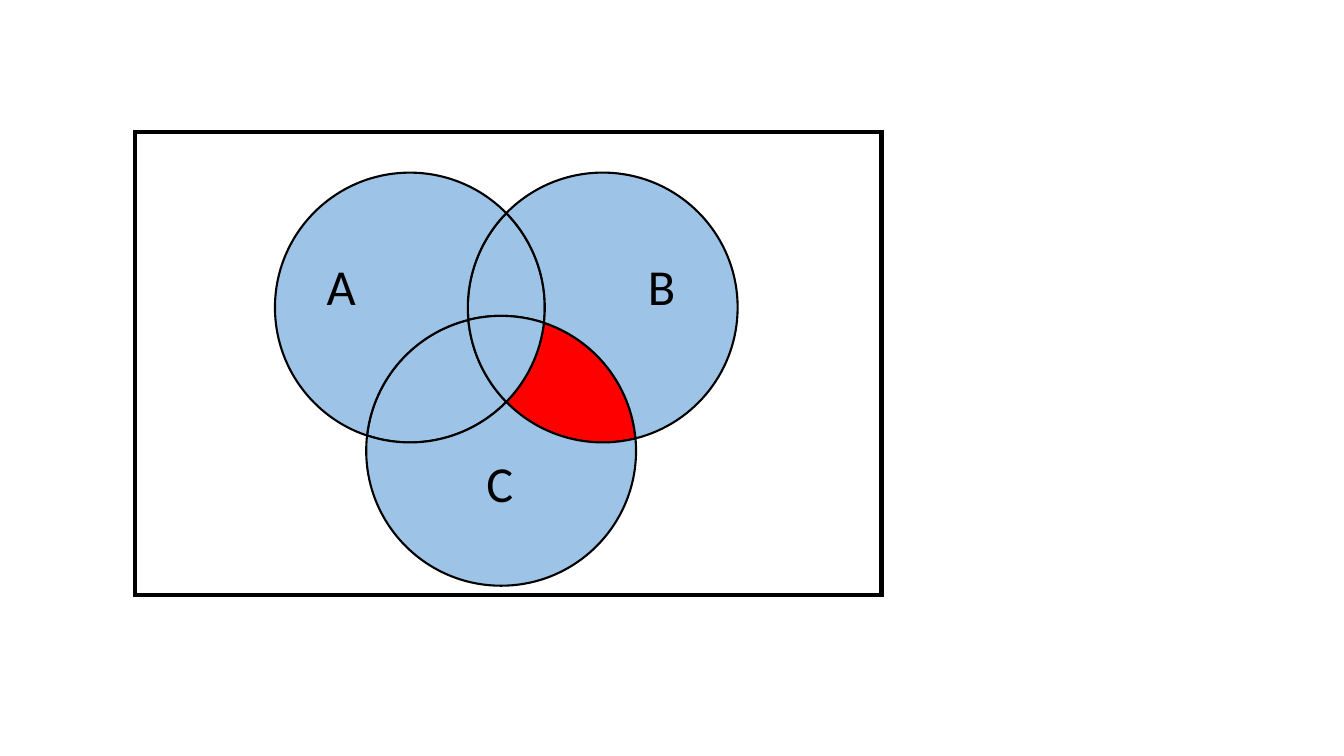
import math
import lxml.etree
import pptx
import pptx.util
import pptx.dml.color
import pptx.enum.shapes
import pptx.enum.text
import pptx.oxml.ns
from pptx.util import Cm, Pt

RADIUS = 3.4
CIRCLES = {"A": (10.33, 7.75), "B": (15.19, 7.75), "C": (12.63, 11.36)}
REGIONS = ["AB", "AC", "BC", "A", "B", "ABC", "C"]
HIGHLIGHTED = "BC"
UNIVERSE = (3.4, 3.33, 18.82, 11.66)
LABELS = [("A", 7.98, 6.3, 1.24), ("B", 16.08, 6.3, 1.22), ("C", 12.01, 11.28, 1.19)]
LABEL_HEIGHT = 1.8

THEME = {
    "font": "Calibri", "size": 36, "ink": "000000",
    "set": "9DC3E6", "highlight": "FF0000",
    "outline": 1.5, "frame": 3.25,
}
qn = pptx.oxml.ns.qn


def color(key):
    return pptx.dml.color.RGBColor.from_string(THEME[key])


def point(name, angle):
    x, y = CIRCLES[name]
    return x + RADIUS * math.cos(angle), y + RADIUS * math.sin(angle)


def crossings(name):
    angles = []
    for other, (x, y) in CIRCLES.items():
        if other != name:
            dx, dy = x - CIRCLES[name][0], y - CIRCLES[name][1]
            half = math.acos(math.hypot(dx, dy) / (2 * RADIUS))
            base = math.atan2(dy, dx)
            angles += [(base - half) % math.tau, (base + half) % math.tau]
    return sorted(angles)


def bezier_arc(name, start, end):
    quarter = math.pi / 2
    turns = range(math.floor(start / quarter) + 1, math.ceil(end / quarter))
    cuts = [start, *(turn * quarter for turn in turns), end]
    points = [point(name, start)]
    for a, b in zip(cuts, cuts[1:]):
        reach = 4 / 3 * math.tan((b - a) / 4) * RADIUS
        (ax, ay), (bx, by) = point(name, a), point(name, b)
        points += [(ax - reach * math.sin(a), ay + reach * math.cos(a)),
                   (bx + reach * math.sin(b), by - reach * math.cos(b)),
                   (bx, by)]
    return points


def region_arcs():
    arcs = {region: [] for region in REGIONS}
    for name in CIRCLES:
        angles = crossings(name)
        for start, end in zip(angles, angles[1:] + [angles[0] + math.tau]):
            middle = point(name, (start + end) / 2)
            around = {n for n, c in CIRCLES.items()
                      if n != name and math.dist(middle, c) < RADIUS}
            for members in (around, around | {name}):
                if members:
                    arcs["".join(sorted(members))].append(bezier_arc(name, start, end))
    return arcs


def join(arcs):
    outline, *rest = arcs
    while rest:
        tip = outline[-1]
        arc = min(rest, key=lambda a: min(math.dist(tip, a[0]), math.dist(tip, a[-1])))
        rest.remove(arc)
        if math.dist(tip, arc[-1]) < math.dist(tip, arc[0]):
            arc = arc[::-1]
        outline = outline + arc[1:]
    return outline


def add_curve(shapes, outline):
    points = [(Cm(x), Cm(y)) for x, y in outline]
    builder = shapes.build_freeform(*points[0])
    builder.add_line_segments(points[1:], close=True)
    sp = builder.convert_to_shape()
    lines = list(sp.element.iter(qn("a:lnTo")))
    for first, second, third in zip(lines[::3], lines[1::3], lines[2::3]):
        curve = lxml.etree.Element(qn("a:cubicBezTo"))
        first.addprevious(curve)
        for line in (first, second, third):
            curve.append(line[0])
            line.getparent().remove(line)
    return sp


def style(sp, fill, width):
    sp.shadow.inherit = False
    if fill:
        sp.fill.solid()
        sp.fill.fore_color.rgb = color(fill)
    else:
        sp.fill.background()
    sp.line.color.rgb = color("ink")
    sp.line.width = Pt(THEME[width])


prs = pptx.Presentation()
prs.slide_width, prs.slide_height = Cm(33.87), Cm(19.05)
s = prs.slides.add_slide(prs.slide_layouts[6])
venn = s.shapes.add_group_shape().shapes

frame = venn.add_shape(pptx.enum.shapes.MSO_SHAPE.RECTANGLE, *map(Cm, UNIVERSE))
style(frame, None, "frame")
ln = frame.element.spPr.find(qn("a:ln"))
lxml.etree.SubElement(ln, qn("a:miter"), lim="800000")

arcs = region_arcs()
for region in REGIONS:
    sp = add_curve(venn, join(arcs[region]))
    style(sp, "highlight" if region == HIGHLIGHTED else "set", "outline")

for text, left, top, width in LABELS:
    tf = venn.add_textbox(Cm(left), Cm(top), Cm(width), Cm(LABEL_HEIGHT)).text_frame
    tf.word_wrap = False
    tf.auto_size = pptx.enum.text.MSO_AUTO_SIZE.SHAPE_TO_FIT_TEXT
    r = tf.paragraphs[0].add_run()
    r.text = text
    r.font.name = THEME["font"]
    r.font.size = Pt(THEME["size"])
    r.font.color.rgb = color("ink")

prs.save("out.pptx")
